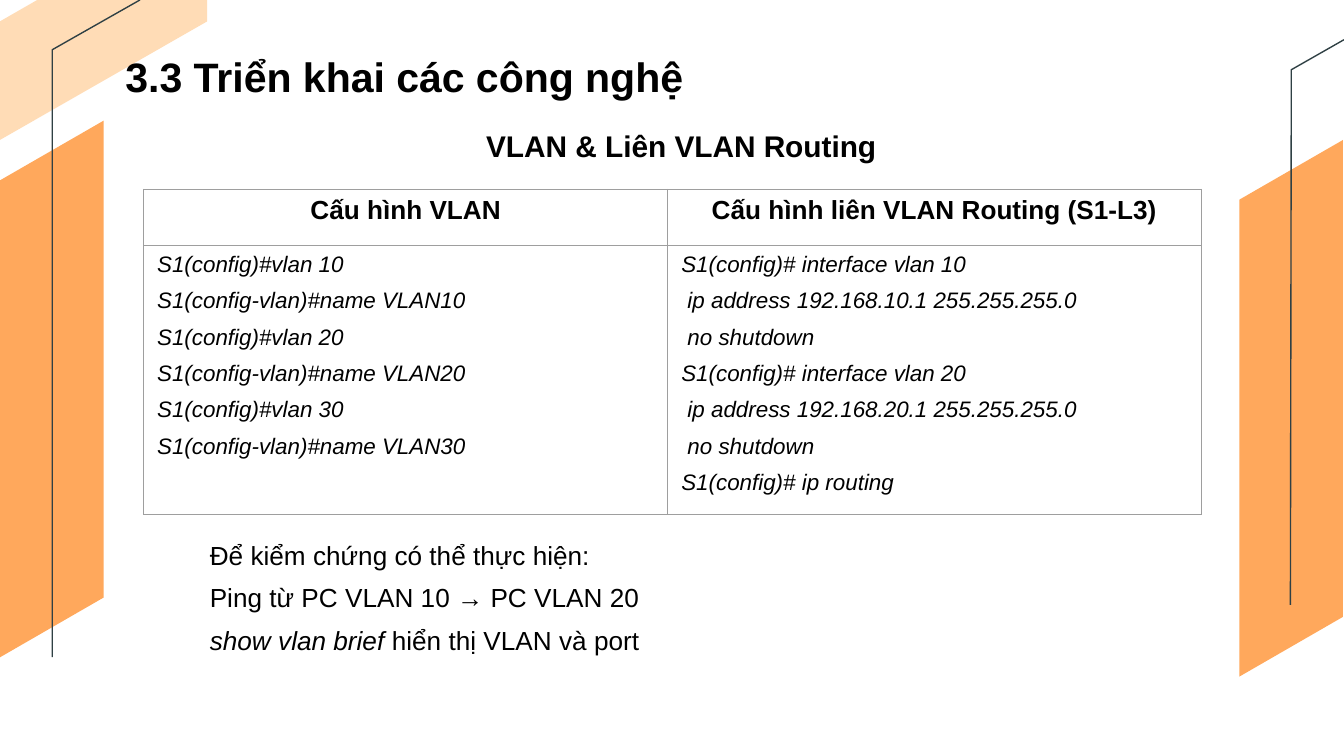
from dataclasses import dataclass

from lxml import etree
from pptx import Presentation
from pptx import util as u
from pptx.dml import color
from pptx.enum import text
from pptx.oxml import ns

Pt = u.Pt
ORANGE, PEACH, SLATE, GRAY, BLACK = "FFA85C", "FFDCB6", "2F4044", "9E9E9E", "000000"


@dataclass
class Outline:
    points: list[tuple[float, float]]
    fill: str = ""
    line: str = ""


@dataclass
class Run:
    text: str
    italic: bool = False


@dataclass
class Style:
    size: float
    bold: bool = False
    before: float = 0
    after: float = 0
    align: text.PP_ALIGN = text.PP_ALIGN.LEFT


def rgb(value: str) -> color.RGBColor:
    return color.RGBColor.from_string(value)


def band(x: float, top: float) -> Outline:
    points = [(x, top + 32), (x + 55.5, top), (x + 55.5, top + 255.5), (x, top + 287.5)]
    return Outline(points, fill=ORANGE)


def draw_outline(s, outline: Outline) -> None:
    points = [(Pt(x), Pt(y)) for x, y in outline.points]
    builder = s.shapes.build_freeform(*points[0], scale=1.0)
    builder.add_line_segments(points[1:], close=bool(outline.fill))
    sp = builder.convert_to_shape()
    sp.shadow.inherit = False
    if outline.fill:
        sp.fill.solid()
        sp.fill.fore_color.rgb = rgb(outline.fill)
        sp.line.fill.background()
    else:
        sp.fill.background()
        sp.line.color.rgb = rgb(outline.line)
        sp.line.width = Pt(0.75)


def write(tf, lines: list[list[Run]], style: Style) -> None:
    for i, runs in enumerate(lines):
        p = tf.add_paragraph() if i else tf.paragraphs[0]
        etree.SubElement(p._p.get_or_add_pPr(), ns.qn("a:buNone"))
        p._p.pPr.set("marL", "0")
        p._p.pPr.set("indent", "0")
        layout = {
            "alignment": style.align,
            "space_before": Pt(style.before if i else 0),
            "space_after": Pt(style.after),
        }
        for name, value in layout.items():
            setattr(p, name, value)
        for run in runs:
            r = p.add_run()
            r.text = run.text
            face = {"name": "Arial", "size": Pt(style.size), "bold": style.bold, "italic": run.italic}
            for name, value in face.items():
                setattr(r.font, name, value)
            r.font.color.rgb = rgb(BLACK)


def fill_box(sp, box: tuple[float, ...], lines: list[list[Run]], style: Style) -> None:
    for name, value in zip(("left", "top", "width", "height"), box):
        setattr(sp, name, Pt(value))
    tf = sp.text_frame
    frame = {
        "word_wrap": True,
        "auto_size": text.MSO_AUTO_SIZE.NONE,
        "vertical_anchor": text.MSO_ANCHOR.TOP,
    }
    for name, value in frame.items():
        setattr(tf, name, value)
    write(tf, lines, style)


def border_cell(cell) -> None:
    cell.fill.background()
    tc_pr = cell._tc.get_or_add_tcPr()
    for i, side in enumerate(("lnL", "lnR", "lnT", "lnB")):
        ln = etree.Element(ns.qn(f"a:{side}"), w=str(Pt(0.75)))
        fill = etree.SubElement(ln, ns.qn("a:solidFill"))
        etree.SubElement(fill, ns.qn("a:srgbClr"), val=GRAY)
        tc_pr.insert(i, ln)


def draw_table(s, headers: list[str], commands: list[list[str]]) -> None:
    table = s.shapes.add_table(2, 2, Pt(77), Pt(101.5), Pt(566.5), Pt(174)).table
    table.first_row = table.horz_banding = False
    for column, width in zip(table.columns, (280.8, 285.7)):
        column.width = Pt(width)
    for row, height in zip(table.rows, (30, 144)):
        row.height = Pt(height)
    head = Style(14, bold=True, align=text.PP_ALIGN.CENTER)
    code = Style(12, before=6)
    for i, (header, listing) in enumerate(zip(headers, commands)):
        write(table.cell(0, i).text_frame, [[Run(header)]], head)
        write(table.cell(1, i).text_frame, [[Run(line, True)] for line in listing], code)
    for cell in table.iter_cells():
        border_cell(cell)


def main() -> None:
    prs = Presentation()
    prs.slide_width, prs.slide_height = Pt(720), Pt(405)
    s = prs.slides.add_slide(prs.slide_layouts[1])
    title, body = s.placeholders

    decoration = [
        band(0, 64.7),
        Outline([(0, 11.5), (20, 0), (111, 0), (111, 11.5), (0, 75)], fill=PEACH),
        Outline([(28, 352), (28, 26.7), (75, 0)], line=SLATE),
        band(664, 75),
        Outline([(691.3, 324), (691.8, 37.4), (720, 21.3)], line=SLATE),
    ]
    for outline in decoration:
        draw_outline(s, outline)
    for sp in (title, body):
        sp.element.getparent().append(sp.element)

    fill_box(title, (60, 24, 376, 34), [[Run("3.3 Triển khai các công nghệ")]], Style(22, bold=True))
    subtitle = s.shapes.add_textbox(0, 0, 0, 0)
    fill_box(subtitle, (253.4, 65, 230, 26.6), [[Run("VLAN & Liên VLAN Routing")]],
             Style(16, bold=True, after=6))

    vlan_commands = [
        line for n in (10, 20, 30)
        for line in (f"S1(config)#vlan {n}", f"S1(config-vlan)#name VLAN{n}")
    ]
    routing_commands = [
        line for n in (10, 20)
        for line in (
            f"S1(config)# interface vlan {n}",
            f" ip address 192.168.{n}.1 255.255.255.0",
            " no shutdown",
        )
    ] + ["S1(config)# ip routing"]
    draw_table(s, ["Cấu hình VLAN", "Cấu hình liên VLAN Routing (S1-L3)"],
               [vlan_commands, routing_commands])

    checks = [
        [Run("Để kiểm chứng có thể thực hiện:")],
        [Run("Ping từ PC VLAN 10 → PC VLAN 20")],
        [Run("show vlan brief ", True), Run("hiển thị VLAN và port")],
    ]
    fill_box(body, (105.2, 285.2, 404, 70.6), checks, Style(14, before=6))
    prs.save("out.pptx")


if __name__ == "__main__":
    main()
